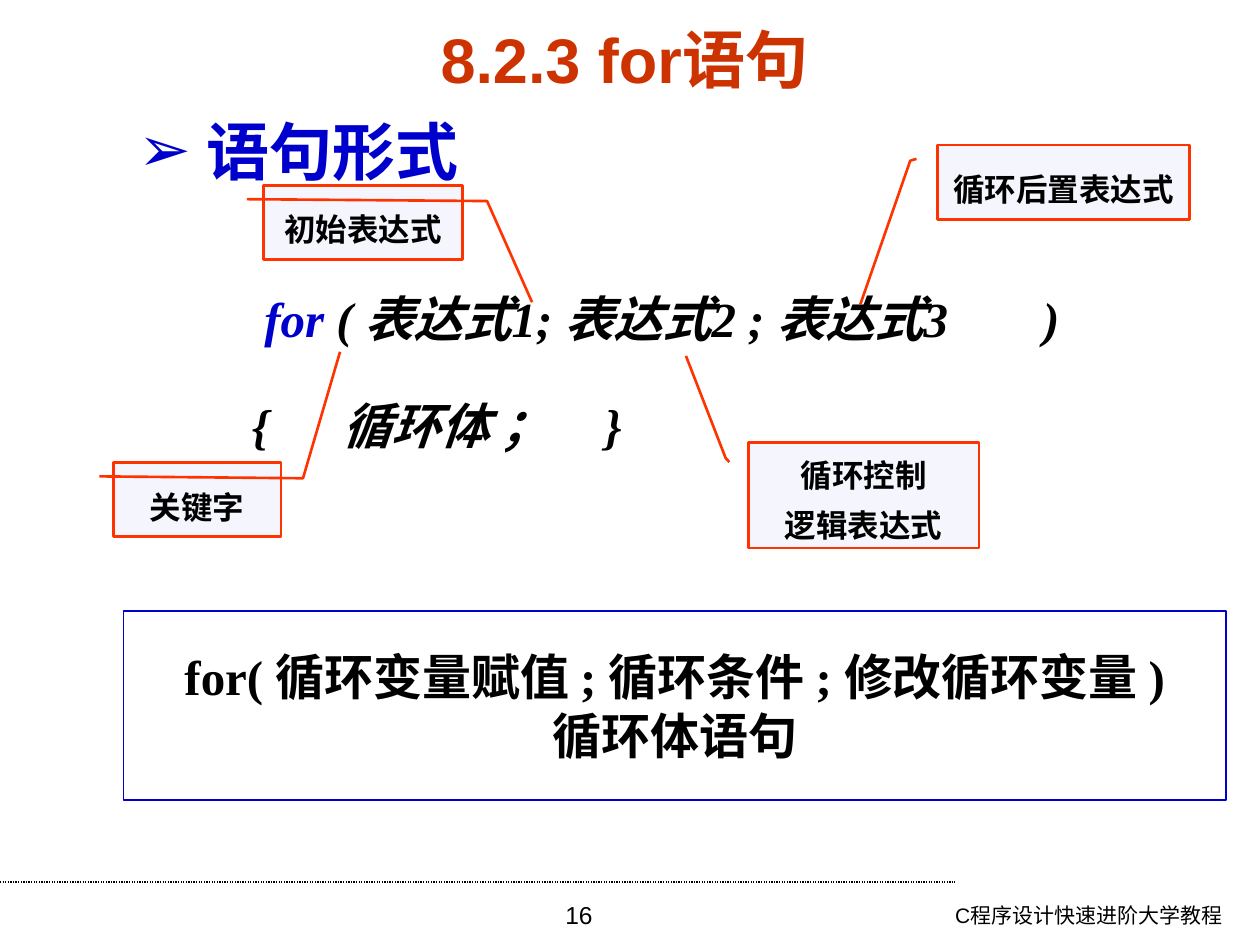
from lxml import etree
from pptx import Presentation
from pptx.dml.color import RGBColor
from pptx.enum.dml import MSO_LINE
from pptx.enum.shapes import MSO_CONNECTOR, MSO_SHAPE
from pptx.enum.text import MSO_ANCHOR as Anchor, MSO_AUTO_SIZE as AutoSize, PP_ALIGN as Align
from pptx.oxml.ns import qn
from pptx.util import Inches, Pt

BLACK = RGBColor(0x00, 0x00, 0x00)
BLUE = RGBColor(0x00, 0x00, 0xCC)
TITLE_RED = RGBColor(0xCC, 0x33, 0x00)
CALLOUT_RED = RGBColor(0xFF, 0x33, 0x00)
CALLOUT_FILL = RGBColor(0xF5, 0xF6, 0xFD)
SANS, SERIF = "Arial", "Times New Roman"


def place(shape, at):
    shape.left, shape.top, shape.width, shape.height = map(Inches, at)


def style(para, size, font=SERIF, color=BLACK, bold=True, italic=False, align=Align.LEFT):
    para.alignment = align
    para.font.size = Pt(size)
    para.font.name = font
    para.font.bold = bold
    para.font.italic = italic
    para.font.color.rgb = color


def add_bullet(para, char, color, indent):
    props = para._p.get_or_add_pPr()
    props.set("marL", str(Inches(indent)))
    props.set("indent", str(-Inches(indent)))
    bullet_color = etree.SubElement(props, qn("a:buClr"))
    etree.SubElement(bullet_color, qn("a:srgbClr"), val=str(color))
    etree.SubElement(props, qn("a:buChar"), char=char)


def add_tabs(para, stops):
    tabs = etree.SubElement(para._p.get_or_add_pPr(), qn("a:tabLst"))
    for stop in stops:
        etree.SubElement(tabs, qn("a:tab"), pos=str(Inches(stop)), algn="l")


def fill_placeholder(shape, at, text, anchor):
    place(shape, at)
    frame = shape.text_frame
    frame.text = text
    frame.auto_size = AutoSize.NONE
    frame.vertical_anchor = anchor
    para = frame.paragraphs[0]
    para.space_before = Pt(0)
    return para


def add_label(slide, at, text, size, align):
    box = slide.shapes.add_textbox(*map(Inches, at))
    box.text_frame.word_wrap = True
    box.text_frame.text = text
    style(box.text_frame.paragraphs[0], size, SANS, bold=False, align=align)


def add_box(slide, kind, at, lines, size, line_color, line_width, anchor):
    box = slide.shapes.add_shape(kind, *map(Inches, at))
    box.shadow.inherit = False
    box.fill.background()
    box.line.color.rgb = line_color
    box.line.width = Pt(line_width)
    frame = box.text_frame
    frame.word_wrap = True
    frame.vertical_anchor = anchor
    frame.text = "\n".join(lines)
    for para in frame.paragraphs:
        style(para, size, align=Align.CENTER)
    return box


def add_callout(slide, at, lines, spacings, pointer):
    box = add_box(slide, MSO_SHAPE.LINE_CALLOUT_2, at, lines, 18, CALLOUT_RED, 1.5, Anchor.TOP)
    box.fill.solid()
    box.fill.fore_color.rgb = CALLOUT_FILL
    for index, value in enumerate((0.188, -0.083, *pointer)):
        box.adjustments[index] = value
    for index, (para, spacing) in enumerate(zip(box.text_frame.paragraphs, spacings)):
        para.line_spacing = spacing
        para.space_before = Pt(11.2 if index else 0)


def add_syntax(slide):
    box = slide.shapes.add_textbox(*map(Inches, (1.9, 2.24, 7, 1.42)))
    frame = box.text_frame
    frame.word_wrap = True
    head, body = frame.paragraphs[0], frame.add_paragraph()
    body.line_spacing = 1.3
    body.space_before = Pt(17.5)
    for para, stops in ((head, (0.1, 6.28)), (body, (0.72, 2.8))):
        add_tabs(para, stops)
        style(para, 28, italic=True)
    keyword = head.add_run()
    keyword.text = "\tfor"
    keyword.font.color.rgb = BLUE
    head.add_run().text = " ( 表达式1; 表达式2 ; 表达式3\t)"
    body.add_run().text = "{\t循环体 ；\t}"


def add_footer(slide):
    rule = slide.shapes.add_connector(
        MSO_CONNECTOR.STRAIGHT, Inches(0), Inches(7), Inches(7.58), Inches(7))
    rule.line.color.rgb = BLACK
    rule.line.width = Pt(0.75)
    rule.line.dash_style = MSO_LINE.ROUND_DOT
    etree.SubElement(rule._element.spPr, qn("a:effectLst"))
    add_label(slide, (6.57, 7.11, 3.23, 0.39), "C程序设计快速进阶大学教程", 12, Align.RIGHT)
    add_label(slide, (3.43, 7.09, 2.33, 0.41), "16", 14, Align.CENTER)


def main():
    deck = Presentation()
    deck.slide_width, deck.slide_height = Inches(10), Inches(7.5)
    slide = deck.slides.add_slide(deck.slide_layouts[1])
    add_footer(slide)

    # Title and heading
    title = fill_placeholder(
        slide.shapes.title, (0.43, 0.21, 9.05, 0.5), "8.2.3 for语句", Anchor.MIDDLE)
    style(title, 36, SANS, TITLE_RED, align=Align.CENTER)
    heading = fill_placeholder(
        slide.placeholders[1], (1, 0.84, 2.95, 0.7), "语句形式", Anchor.TOP)
    add_bullet(heading, "➢", BLUE, 0.54)
    style(heading, 36, color=BLUE)

    # Loop syntax and its callouts
    add_syntax(slide)
    callouts = (
        ((0.9, 3.67, 1.33, 0.59), ["关键字"], [1.5], (0.213, 1.132, -1.488, 1.353)),
        ((2.09, 1.47, 1.58, 0.59), ["初始表达式"], [1.5], (0.213, 1.124, 1.574, 1.35)),
        ((7.44, 1.15, 2, 0.59), ["循环后置表达式"], [1.5], (0.213, -0.108, 2.145, -0.306)),
        ((5.94, 3.51, 1.83, 0.84), ["循环控制", "逻辑表达式"], [1.2, 0.8],
         (0.149, -0.099, -0.815, -0.271)),
    )
    for callout in callouts:
        add_callout(slide, *callout)

    # Summary
    summary = ["for( 循环变量赋值 ; 循环条件 ; 修改循环变量 )", "循环体语句"]
    add_box(slide, MSO_SHAPE.RECTANGLE, (0.98, 4.85, 8.75, 1.5), summary,
            28, BLUE, 0.75, Anchor.MIDDLE)
    deck.save("out.pptx")


if __name__ == "__main__":
    main()
